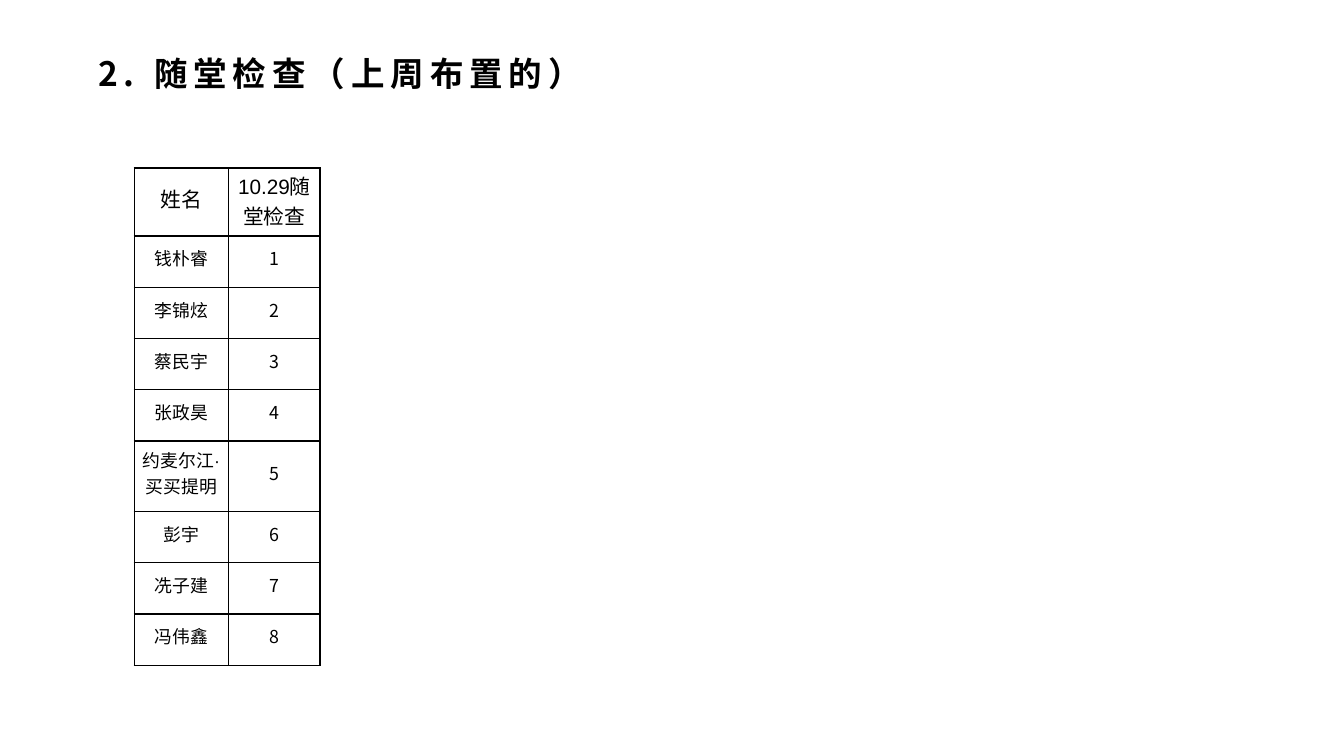
from pptx import Presentation
from pptx.dml.color import RGBColor
from pptx.enum.text import MSO_ANCHOR, PP_ALIGN
from pptx.oxml.ns import qn
from pptx.util import Cm, Pt
from lxml.etree import SubElement

TITLE = "2. 随堂检查（上周布置的）"
HEAD = ("姓名", "10.29随堂检查")
NAMES = ["钱朴睿", "李锦炫", "蔡民宇", "张政昊", "约麦尔江·买买提明",
         "彭宇", "冼子建", "冯伟鑫"]
WIDTHS = (1.12, 1.09)
HEAD_H, ROW_H, TALL_H = 0.81, 0.61, 0.84
LONG = 4  # names beyond this length take two lines

BLACK = RGBColor(0, 0, 0)
WHITE = RGBColor(255, 255, 255)
SANS, HAN = "Arial", "Noto Sans CJK SC"


def write(para, text, size, face):
    run = para.add_run()
    run.text = text
    font = run.font
    font.size, font.name, font.color.rgb = Pt(size), face, BLACK
    SubElement(run._r.get_or_add_rPr(), qn("a:ea"), typeface=HAN)
    return run


def frame(cell):
    """Draw a thin black line on all four sides of a cell."""
    props = cell._tc.get_or_add_tcPr()
    for i, side in enumerate(("lnL", "lnR", "lnT", "lnB")):
        line = props.makeelement(qn("a:" + side), {"w": str(Pt(0.5))})
        fill = SubElement(line, qn("a:solidFill"))
        SubElement(fill, qn("a:srgbClr"), val=str(BLACK))
        props.insert(i, line)


def add_title(slide):
    box = slide.shapes.add_textbox(Cm(0.89), Cm(0.58), Cm(14.25), Cm(0.58))
    text = box.text_frame
    text.word_wrap = True
    text.vertical_anchor = MSO_ANCHOR.TOP
    text.margin_left, text.margin_right = Cm(0.28), Cm(0.2)
    text.margin_top = text.margin_bottom = Cm(0.1)
    para = text.paragraphs[0]
    para.line_spacing = 0.9
    run = write(para, TITLE, 11.3, HAN)
    run.font.bold = True
    run._r.get_or_add_rPr().set("spc", "200")


def add_list(slide):
    rows = [HEAD] + [(name, str(n)) for n, name in enumerate(NAMES, 1)]
    highs = [HEAD_H] + [TALL_H if len(n) > LONG else ROW_H for n in NAMES]
    table = slide.shapes.add_table(
        len(rows), len(HEAD), Cm(1.6), Cm(2),
        Cm(sum(WIDTHS)), Cm(sum(highs))).table
    table.first_row = table.horz_banding = False
    for col, width in zip(table.columns, WIDTHS):
        col.width = Cm(width)
    for r, (row, high) in enumerate(zip(rows, highs)):
        table.rows[r].height = Cm(high)
        for c, text in enumerate(row):
            cell = table.cell(r, c)
            cell.margin_left = cell.margin_right = cell.margin_top = Cm(0.03)
            cell.margin_bottom = Cm(0.12)
            cell.vertical_anchor = MSO_ANCHOR.MIDDLE
            cell.fill.solid()
            cell.fill.fore_color.rgb = WHITE
            frame(cell)
            para = cell.text_frame.paragraphs[0]
            para.alignment = PP_ALIGN.CENTER
            write(para, text, 6 if r else 7, HAN if r and c else SANS)


def main():
    deck = Presentation()
    deck.slide_width, deck.slide_height = Cm(16), Cm(9)
    slide = deck.slides.add_slide(deck.slide_layouts[6])
    add_title(slide)
    add_list(slide)
    deck.save("out.pptx")


if __name__ == "__main__":
    main()
